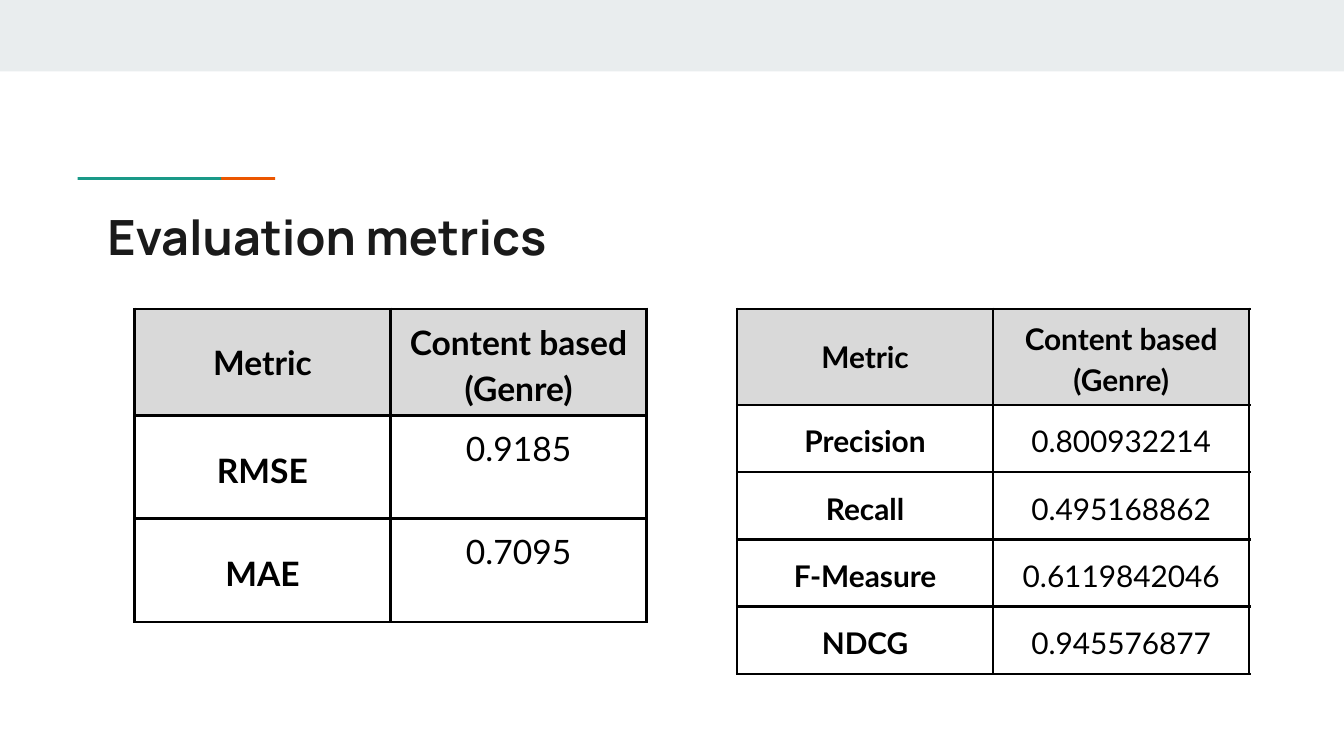
import pptx
import pptx.util
import pptx.dml.color
import pptx.enum.shapes
import pptx.enum.text
import pptx.oxml
import pptx.oxml.ns

Cm, Pt = pptx.util.Cm, pptx.util.Pt
ALIGN = pptx.enum.text.PP_ALIGN
ANCHOR = pptx.enum.text.MSO_ANCHOR
HUES = {"band": "E9EDEE", "teal": "1A9988", "orange": "EB5600",
        "title": "1A1A1A", "text": "000000", "head": "D9D9D9", "edge": "000000"}


def apply(item, values):
    """Set every attribute in values on item."""
    for name, value in values.items():
        setattr(item, name, value)


def color(name):
    """Return the named colour."""
    return pptx.dml.color.RGBColor.from_string(HUES[name])


class Deck:
    """Hold the slide and its style."""

    pad = {"margin_left": Cm(0.08), "margin_right": Cm(0.08),
           "margin_top": Cm(0.13), "margin_bottom": Cm(0.13)}
    edge = 1.47

    def __init__(self, wide, high):
        """Start a deck with one blank slide."""
        self.show = pptx.Presentation()
        apply(self.show, {"slide_width": Cm(wide), "slide_height": Cm(high)})
        self.slide = self.show.slides.add_slide(self.show.slide_layouts[6])

    def bar(self, box, hue):
        """Draw a plain filled rectangle."""
        kind = pptx.enum.shapes.MSO_SHAPE.RECTANGLE
        shape = self.slide.shapes.add_shape(kind, *map(Cm, box))
        shape.shadow.inherit = False
        shape.fill.solid()
        shape.fill.fore_color.rgb = color(hue)
        shape.line.fill.background()

    def label(self, para, text, font, size, hue, bold):
        """Add one styled run to a paragraph."""
        run = para.add_run()
        run.text = text
        apply(run.font, {"name": font, "size": Pt(size), "bold": bold})
        run.font.color.rgb = color(hue)

    def title(self, box, text):
        """Place the heading."""
        frame = self.slide.shapes.add_textbox(*map(Cm, box)).text_frame
        apply(frame, {"word_wrap": True, "margin_left": 0, "margin_right": 0,
                      "margin_top": Cm(0.25), "margin_bottom": Cm(0.25)})
        self.label(frame.paragraphs[0], text, "Manrope", 26, "title", True)

    def border(self, cell):
        """Draw the four edges of a cell."""
        props = cell._tc.get_or_add_tcPr()
        space = pptx.oxml.ns.nsdecls("a")
        for spot, side in enumerate("LRTB"):
            props.insert(spot, pptx.oxml.parse_xml(
                f'<a:ln{side} {space} w="{Pt(self.edge)}"><a:solidFill>'
                f'<a:srgbClr val="{HUES["edge"]}"/></a:solidFill></a:ln{side}>'))

    def table(self, left, top, wide, highs, rows, size, anchor):
        """Add a bordered table; anchor places the values."""
        count = len(rows[0])
        grid = self.slide.shapes.add_table(
            len(rows), count, Cm(left), Cm(top),
            Cm(wide * count), Cm(sum(highs))).table
        apply(grid, {"first_row": False, "horz_banding": False})
        for col in grid.columns:
            col.width = Cm(wide)
        for r, (high, row) in enumerate(zip(highs, rows)):
            grid.rows[r].height = Cm(high)
            for c, text in enumerate(row):
                cell, value = grid.cell(r, c), r > 0 and c > 0
                apply(cell, self.pad)
                cell.vertical_anchor = anchor if value else ANCHOR.MIDDLE
                if r == 0:
                    cell.fill.solid()
                    cell.fill.fore_color.rgb = color("head")
                else:
                    cell.fill.background()
                self.border(cell)
                para = cell.text_frame.paragraphs[0]
                apply(para, {"alignment": ALIGN.CENTER,
                             "line_spacing": 1.15 if r + c else 1.0})
                self.label(para, text, "Lato", size, "text", not value)


deck = Deck(25.4, 14.29)
deck.bar((0, 0, 25.4, 1.35), "band")
deck.bar((2.51, 3.35, 2.69, 0.05), "orange")
deck.bar((1.47, 3.35, 2.71, 0.05), "teal")
deck.title((2.03, 3.66, 21.36, 1.5), "Evaluation metrics")

head = ("Metric", "Content based (Genre)")
ranks = [head, ("Precision", "0.800932214"), ("Recall", "0.495168862"),
         ("F-Measure", "0.6119842046"), ("NDCG", "0.945576877")]
errors = [head, ("RMSE", "0.9185"), ("MAE", "0.7095")]
deck.table(13.93, 5.84, 4.84, [1.81] + [1.27] * 4, ranks, 16, ANCHOR.MIDDLE)
deck.table(2.54, 5.84, 4.84, [2.01] + [1.95] * 2, errors, 18, ANCHOR.TOP)
deck.show.save("out.pptx")
